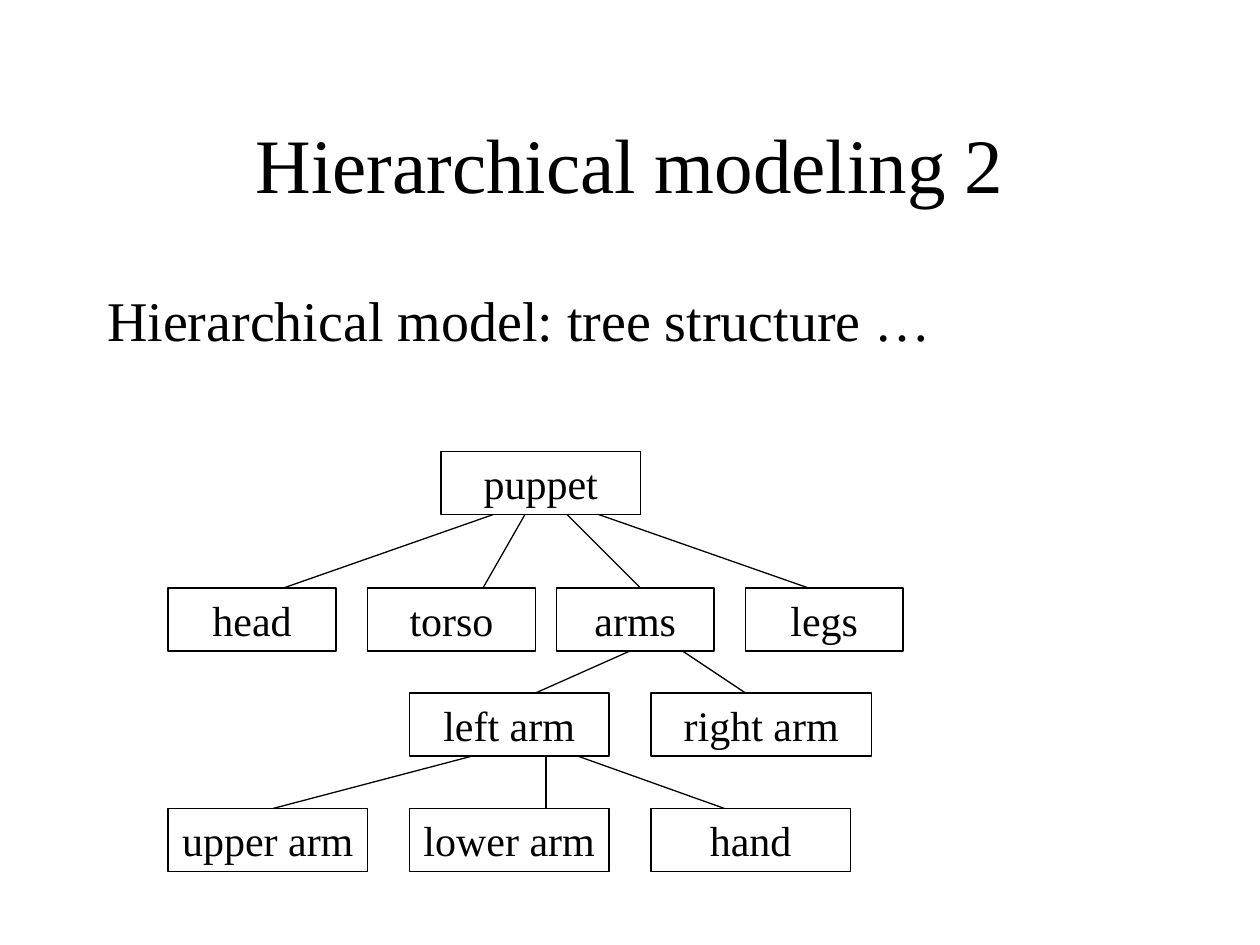
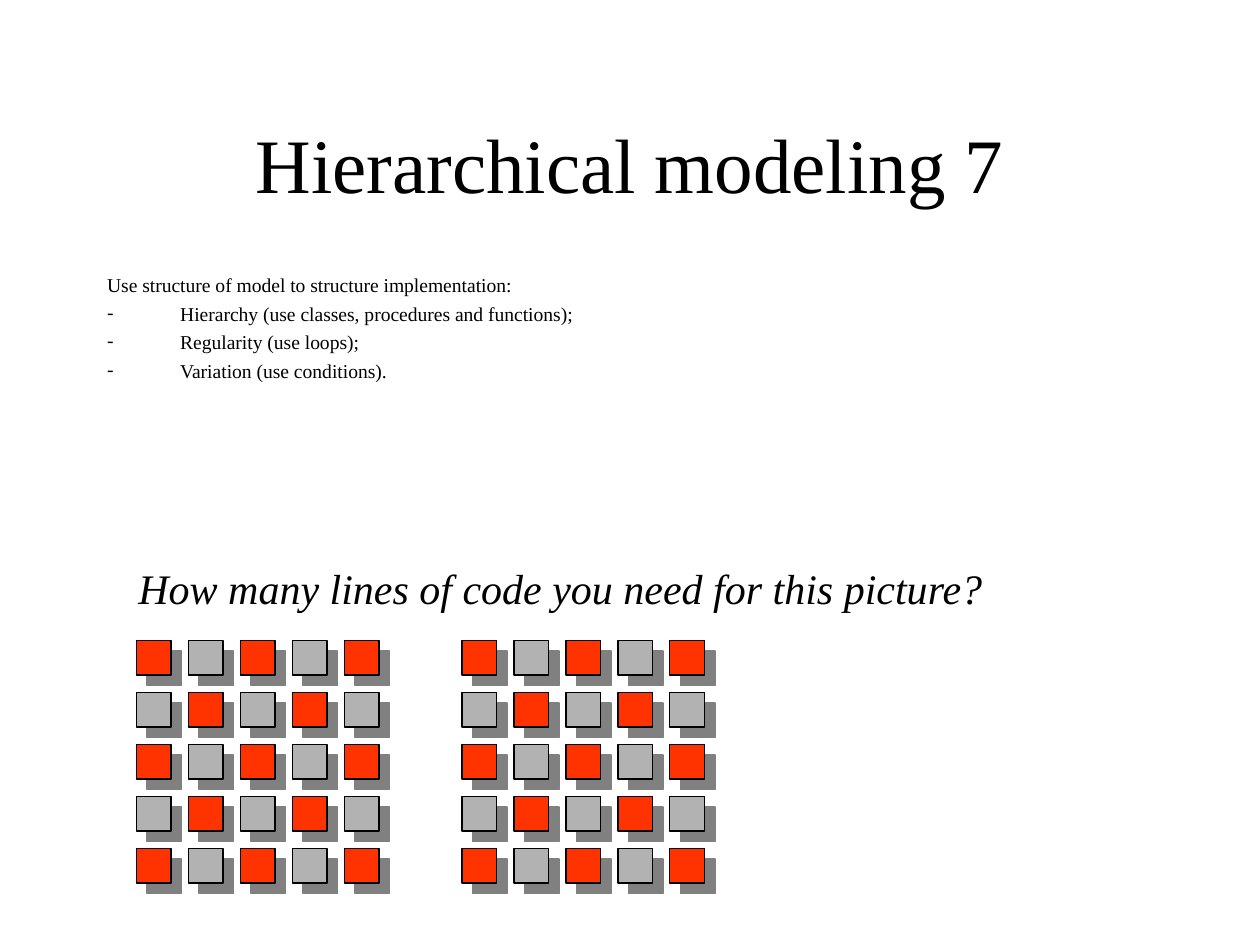
from itertools import product

from lxml import etree
from pptx import Presentation
from pptx.dml.color import RGBColor
from pptx.enum.shapes import MSO_CONNECTOR, MSO_SHAPE
from pptx.enum.text import MSO_ANCHOR, MSO_AUTO_SIZE, PP_ALIGN
from pptx.oxml.ns import qn
from pptx.util import Inches, Pt

RECTANGLE = MSO_SHAPE.RECTANGLE
STRAIGHT = MSO_CONNECTOR.STRAIGHT
CENTER, LEFT = PP_ALIGN.CENTER, PP_ALIGN.LEFT
MIDDLE, TOP = MSO_ANCHOR.MIDDLE, MSO_ANCHOR.TOP

COLORS = {"ink": "000000", "red": "FF3300", "gray": "B2B2B2", "shadow": "808080"}
FONT = "Times New Roman"
LINE_WIDTH = Pt(0.75)
HANGING = Inches(0.58)

# Places and sizes are counted in grid steps, twelve to the inch.
STEPS_PER_INCH = 12
TITLE_AREA = (9, 8, 102, 15)

LEVEL_TOPS = (43, 56, 66, 77)
NODE_HEIGHT = 6
# label, level, left, width, (line start at the parent, line end at the node)
TREE = [
    ("puppet", 0, 42, 19, None),
    ("head", 1, 16, 16, (47, 27)),
    ("torso", 1, 35, 16, (50, 46)),
    ("arms", 1, 53, 15, (54, 61)),
    ("legs", 1, 71, 15, (57, 77)),
    ("left arm", 2, 39, 19, (60, 51)),
    ("right arm", 2, 62, 21, (65, 71)),
    ("upper arm", 3, 16, 19, (45, 26)),
    ("lower arm", 3, 39, 19, (52, 52)),
    ("hand", 3, 62, 19, (55, 69)),
]

BOARD_LEFTS = (13, 44)
BOARD_TOP = 61
BOARD_SIZE = 5
SQUARE_PITCH = 4.95
SQUARE_SIDE = 3.3


def steps(*counts):
    return [Inches(count / STEPS_PER_INCH) for count in counts]


def rgb(name):
    return RGBColor.from_string(COLORS[name])


def style_paragraph(paragraph, size, align=LEFT, italic=False):
    paragraph.alignment = align
    font = paragraph.font
    font.name, font.size, font.italic = FONT, Pt(size), italic
    font.color.rgb = rgb("ink")


def place(shape, area):
    shape.left, shape.top, shape.width, shape.height = steps(*area)


def set_bullet(paragraph, char):
    """Give the paragraph a hanging indent and a bullet, or no bullet for None."""
    properties = paragraph._p.get_or_add_pPr()
    properties.set("marL", str(HANGING))
    properties.set("indent", str(-HANGING))
    if char:
        etree.SubElement(properties, qn("a:buFont"), typeface=FONT)
        etree.SubElement(properties, qn("a:buChar"), char=char)
    else:
        etree.SubElement(properties, qn("a:buNone"))


def add_page(deck, title):
    page = deck.slides.add_slide(deck.slide_layouts[1])
    heading = page.shapes.title
    place(heading, TITLE_AREA)
    frame = heading.text_frame
    frame.text = title
    frame.auto_size = MSO_AUTO_SIZE.NONE
    frame.vertical_anchor = MIDDLE
    style_paragraph(frame.paragraphs[0], 44, CENTER)
    return page


def fill_body(page, area, lead, items=(), size=32, spacing=1.0, gap=0, inset=0.05):
    """Write a lead line and dashed items into the body placeholder."""
    body = page.placeholders[1]
    place(body, area)
    frame = body.text_frame
    frame.text = "\n".join([lead, *items])
    frame.auto_size = MSO_AUTO_SIZE.NONE
    frame.vertical_anchor = TOP
    frame.margin_top = Inches(inset)
    for index, paragraph in enumerate(frame.paragraphs):
        set_bullet(paragraph, "-" if index else None)
        paragraph.line_spacing = spacing
        paragraph.space_before = Pt(gap if index else 0)
        style_paragraph(paragraph, size)


def add_rectangle(page, area, fill=None):
    box = page.shapes.add_shape(RECTANGLE, *steps(*area))
    box.shadow.inherit = False
    if fill:
        box.fill.solid()
        box.fill.fore_color.rgb = rgb(fill)
    else:
        box.fill.background()
    box.line.color.rgb = rgb("ink")
    box.line.width = LINE_WIDTH
    return box


def add_node(page, label, area):
    frame = add_rectangle(page, area).text_frame
    frame.text = label
    frame.word_wrap = False
    frame.vertical_anchor = MIDDLE
    style_paragraph(frame.paragraphs[0], 24, CENTER)


def add_branch(page, start, end):
    branch = page.shapes.add_connector(STRAIGHT, *steps(*start, *end))
    branch.line.color.rgb = rgb("ink")
    branch.line.width = LINE_WIDTH
    etree.SubElement(branch._element.spPr, qn("a:effectLst"))


def add_tree(page):
    for label, level, left, width, link in TREE:
        top = LEVEL_TOPS[level]
        add_node(page, label, (left, top, width, NODE_HEIGHT))
        if link:
            parent_bottom = LEVEL_TOPS[level - 1] + NODE_HEIGHT
            add_branch(page, (link[0], parent_bottom), (link[1], top))


def add_hard_shadow(box):
    """Cast a sharp shadow to the lower right."""
    effects = box._element.spPr.find(qn("a:effectLst"))
    shadow = etree.SubElement(effects, qn("a:outerShdw"), dist=str(Pt(8.5)),
                              dir=str(45 * 60000), algn="ctr", rotWithShape="0")
    etree.SubElement(shadow, qn("a:srgbClr"), val=COLORS["shadow"])


def add_board(page, left):
    for row, column in product(range(BOARD_SIZE), repeat=2):
        color = "gray" if (row + column) % 2 else "red"
        area = (left + column * SQUARE_PITCH, BOARD_TOP + row * SQUARE_PITCH,
                SQUARE_SIDE, SQUARE_SIDE)
        add_hard_shadow(add_rectangle(page, area, color))


def add_question(page, text, area):
    frame = page.shapes.add_textbox(*steps(*area)).text_frame
    frame.word_wrap = True
    frame.text = text
    style_paragraph(frame.paragraphs[0], 24, italic=True)


def main():
    deck = Presentation()
    deck.slide_width, deck.slide_height = Inches(10), Inches(7.5)

    page = add_page(deck, "Hierarchical modeling 2")
    fill_body(page, (9, 26, 106, 51), "Hierarchical model: tree structure …", inset=0.1)
    add_tree(page)

    page = add_page(deck, "Hierarchical modeling 7")
    fill_body(page, (9, 26, 108, 11),
              "Use structure of model to structure implementation:",
              ["Hierarchy (use classes, procedures and functions);",
               "Regularity (use loops);",
               "Variation (use conditions)."],
              size=11.2, spacing=0.7, gap=7)
    add_question(page, "How many lines of code you need for this picture?",
                 (12, 53, 94, 6))
    for left in BOARD_LEFTS:
        add_board(page, left)

    deck.save("out.pptx")


if __name__ == "__main__":
    main()
